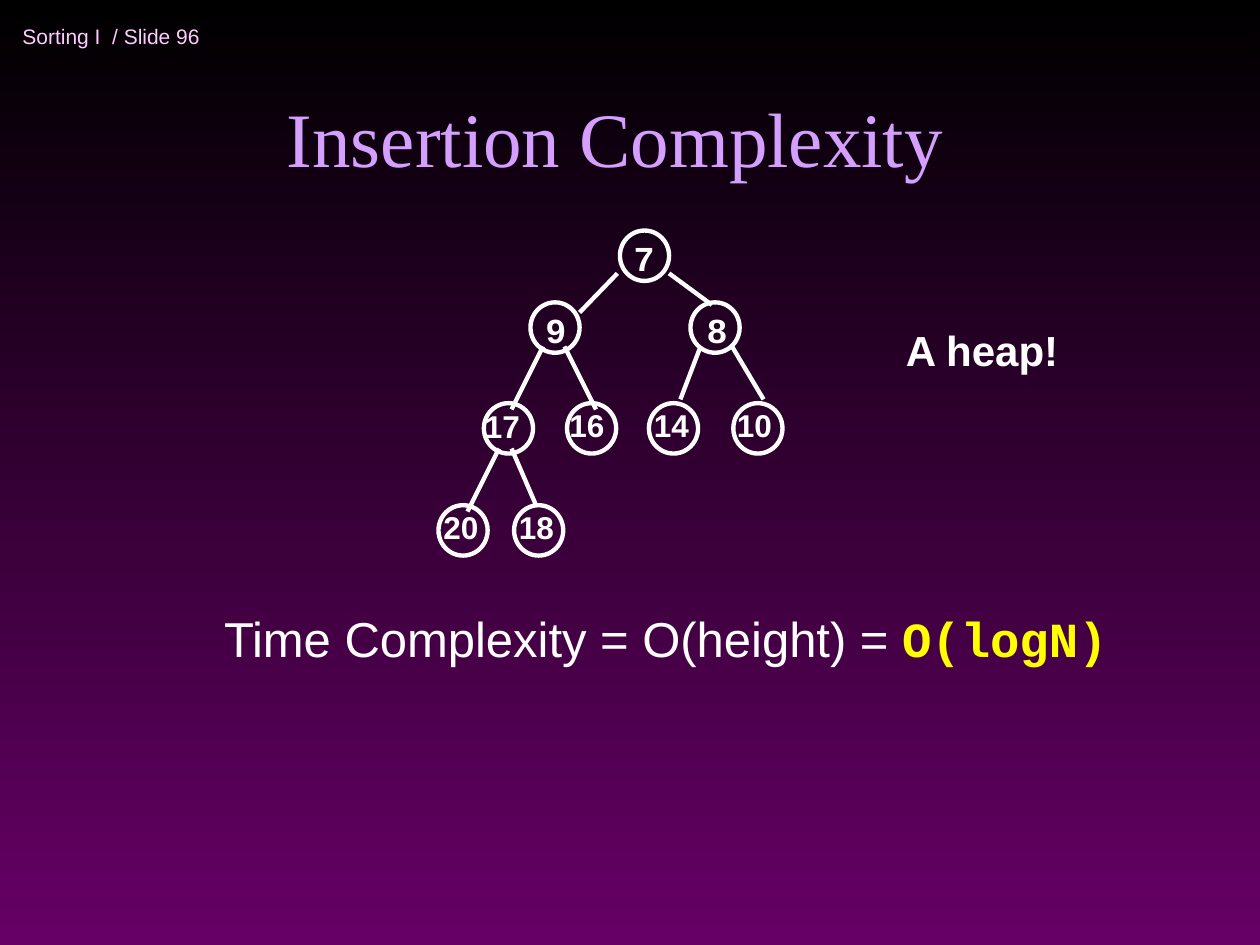
from lxml import etree
from pptx import Presentation
from pptx.dml.color import RGBColor
from pptx.enum.shapes import MSO_CONNECTOR, MSO_SHAPE
from pptx.enum.text import MSO_ANCHOR, PP_ALIGN
from pptx.oxml.ns import qn
from pptx.util import Inches, Pt

BLACK = RGBColor(0x00, 0x00, 0x00)
PURPLE = RGBColor(0x66, 0x00, 0x66)
WHITE = RGBColor(0xFF, 0xFF, 0xFF)
PINK = RGBColor(0xFF, 0xCC, 0xFF)
LILAC = RGBColor(0xD4, 0x9F, 0xFF)
YELLOW = RGBColor(0xFF, 0xFF, 0x00)
LINE_WIDTH = Pt(2.5)

prs = Presentation()
prs.slide_width, prs.slide_height = Inches(10), Inches(7.5)
s = prs.slides.add_slide(prs.slide_layouts[6])

# Background fading from black down to purple
fill = s.background.fill
fill.gradient()
fill.gradient_angle = 270
for stop, color, position in zip(fill.gradient_stops, (BLACK, PURPLE), (0, 1)):
    stop.color.rgb = color
    stop.position = position


def add_text(x, y, w, h, runs, size, wrap=False, anchor=MSO_ANCHOR.TOP):
    """Add a one-paragraph text box; runs are (text, font, color, bold)."""
    tf = s.shapes.add_textbox(Inches(x), Inches(y), Inches(w), Inches(h)).text_frame
    tf.word_wrap = wrap
    tf.vertical_anchor = anchor
    p = tf.paragraphs[0]
    for text, font, color, bold in runs:
        r = p.add_run()
        r.text = text
        r.font.name = font
        r.font.size = Pt(size)
        r.font.bold = bold
        r.font.color.rgb = color
    return p


# Slide label and title
add_text(0.08, 0.08, 2.75, 0.42, [("Sorting I  / Slide 96", "Arial", PINK, False)],
         12, wrap=True, anchor=MSO_ANCHOR.MIDDLE)
p = add_text(0.67, 0.25, 8.58, 1.25,
             [("Insertion Complexity ", "Times New Roman", LILAC, False)],
             44, wrap=True, anchor=MSO_ANCHOR.BOTTOM)
p.alignment = PP_ALIGN.CENTER

# Heap nodes: label, circle left and top, label left and top
nodes = [
    ("7", 4.92, 1.83, 4.93, 1.83),
    ("9", 4.21, 2.4, 4.23, 2.4),
    ("8", 5.48, 2.4, 5.51, 2.4),
    ("17", 3.84, 3.2, 3.75, 3.18),
    ("16", 4.5, 3.2, 4.42, 3.17),
    ("14", 5.15, 3.2, 5.09, 3.17),
    ("10", 5.82, 3.2, 5.75, 3.17),
    ("20", 3.48, 4.01, 3.42, 3.98),
    ("18", 4.08, 4.01, 4.02, 3.98),
]
for label, x, y, label_x, label_y in nodes:
    sp = s.shapes.add_shape(MSO_SHAPE.OVAL, Inches(x), Inches(y), Inches(0.39), Inches(0.4))
    sp.shadow.inherit = False
    sp.fill.background()
    sp.line.color.rgb = WHITE
    sp.line.width = LINE_WIDTH
    if len(label) == 1:
        w, h, font, size = 0.36, 0.44, "Courier New", 20
    else:
        w, h, font, size = 0.48, 0.4, "Arial", 18
    add_text(label_x, label_y, w, h, [(label, font, WHITE, True)], size)

# Heap edges from parent to child
edges = [
    (4.9, 2.17, 4.6, 2.48), (5.31, 2.17, 5.65, 2.42),
    (4.31, 2.75, 4.06, 3.25), (4.48, 2.75, 4.73, 3.25),
    (5.56, 2.75, 5.4, 3.17), (5.81, 2.75, 6.06, 3.17),
    (3.96, 3.56, 3.71, 4.06), (4.06, 3.56, 4.25, 4),
]
for edge in edges:
    line = s.shapes.add_connector(MSO_CONNECTOR.STRAIGHT, *map(Inches, edge))
    line.line.color.rgb = WHITE
    line.line.width = LINE_WIDTH
    etree.SubElement(line._element.spPr, qn("a:effectLst"))

# Remark and resulting complexity
add_text(7.09, 2.53, 1.42, 0.5, [("A heap!", "Arial", WHITE, True)], 24)
add_text(1.68, 4.78, 7.22, 0.57,
         [("Time Complexity = O(height) = ", "Arial", WHITE, False),
          ("O(logN)", "Courier New", YELLOW, True)], 28)

prs.save("out.pptx")
